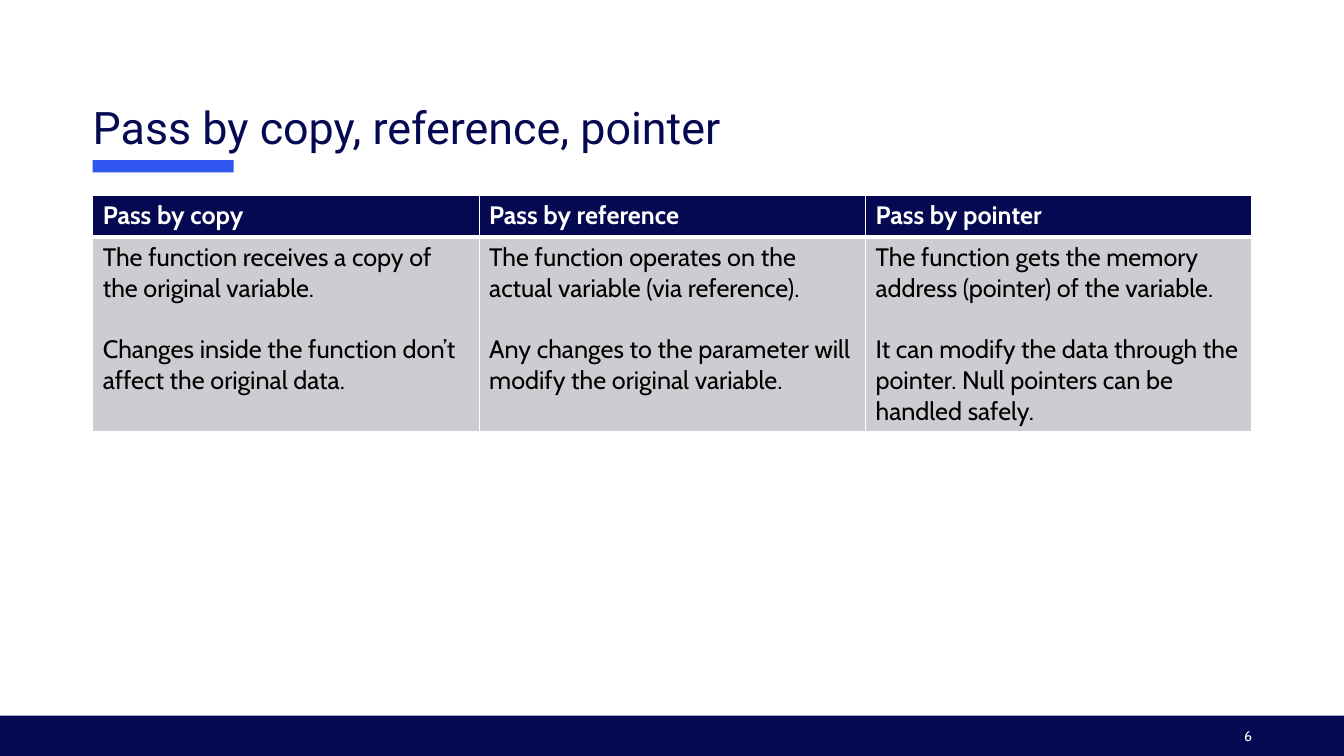
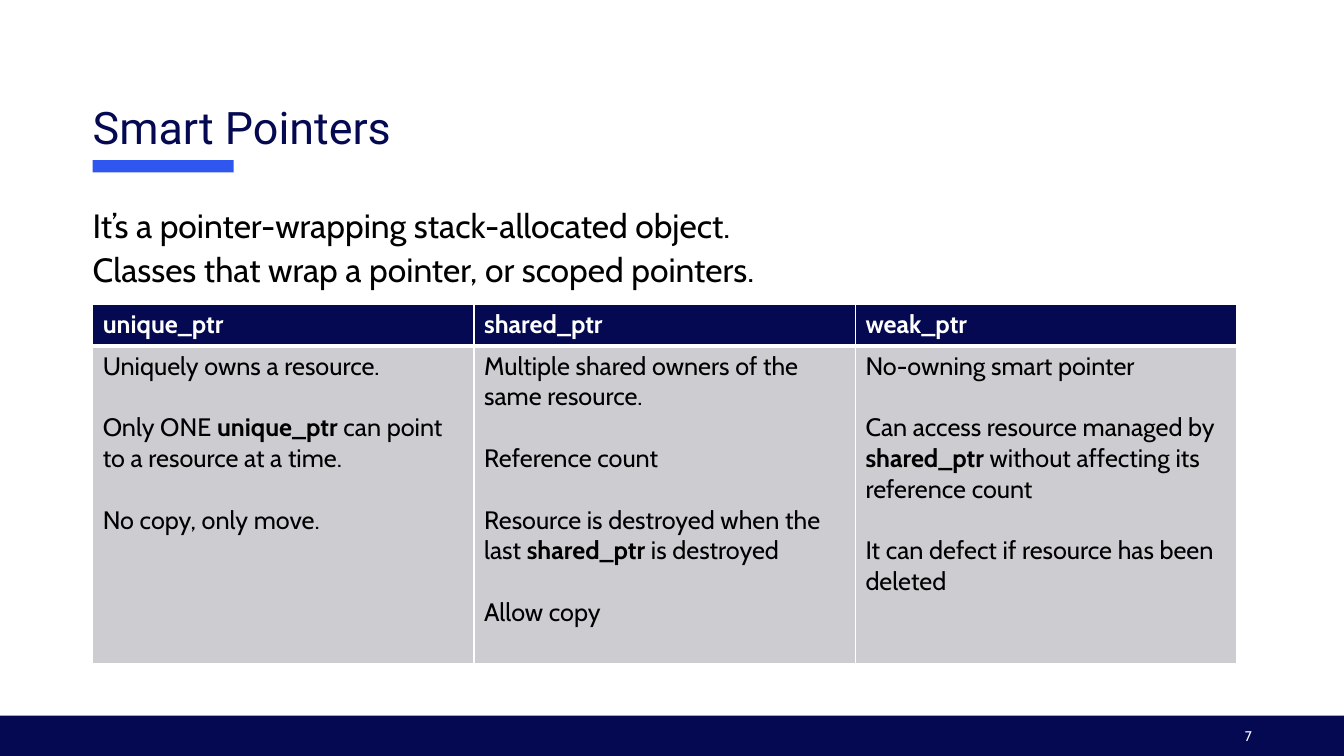
from dataclasses import dataclass

from lxml.etree import SubElement
from pptx import Presentation
from pptx.dml.color import RGBColor
from pptx.enum.shapes import MSO_SHAPE
from pptx.enum.text import MSO_ANCHOR, PP_ALIGN
from pptx.oxml.ns import qn
from pptx.util import Inches, Pt


@dataclass(frozen=True)
class Theme:
    """Colours, fonts and type sizes shared by all slides."""

    navy: str = "050952"
    blue: str = "2F56EF"
    grey: str = "CCCCD1"
    white: str = "FFFFFF"
    black: str = "000000"
    heading_font: str = "Roboto"
    body_font: str = "Cabin"
    title_size: int = 32
    lead_size: int = 24
    table_size: int = 18
    number_size: int = 10
    paragraph_gap: int = 22
    thin_border: int = 1
    thick_border: int = 3


@dataclass(frozen=True)
class Box:
    """A rectangle in inches, whose regions are given in percent of it."""

    left: float
    top: float
    width: float
    height: float

    def region(self, left, top, width, height):
        """Return the box at the given percentages of this one."""
        return Box(
            self.left + self.width * left / 100,
            self.top + self.height * top / 100,
            self.width * width / 100,
            self.height * height / 100,
        )

    def lengths(self):
        """Return left, top, width and height for python-pptx."""
        return [Inches(value) for value in (self.left, self.top, self.width, self.height)]


THEME = Theme()
PAGE = Box(0, 0, 13.33, 7.5)
HEADING = PAGE.region(6.9, 0, 86.25, 22.8)
FOOTER = PAGE.region(0, 94.67, 100, 5.33)
HEADER_ROW = 5.47

PASSING = [
    ("Pass by copy", [
        "The function receives a copy of the original variable.",
        "Changes inside the function don’t affect the original data.",
    ]),
    ("Pass by reference", [
        "The function operates on the actual variable (via reference).",
        "Any changes to the parameter will modify the original variable.",
    ]),
    ("Pass by pointer", [
        "The function gets the memory address (pointer) of the variable.",
        "It can modify the data through the pointer. Null pointers can be handled safely.",
    ]),
]
SMART_POINTERS = [
    ("unique_ptr", [
        "Uniquely owns a resource.",
        "Only ONE *unique_ptr* can point to a resource at a time.",
        "No copy, only move.",
    ]),
    ("shared_ptr", [
        "Multiple shared owners of the same resource.",
        "Reference count",
        "Resource is destroyed when the last *shared_ptr* is destroyed",
        "Allow copy",
    ]),
    ("weak_ptr", [
        "No-owning smart pointer",
        "Can access resource managed by *shared_ptr* without affecting its reference count",
        "It can defect if resource has been deleted",
    ]),
]
LEAD = [
    "It’s a pointer-wrapping stack-allocated object.",
    "Classes that wrap a pointer, or scoped pointers.",
]


def apply_format(target, values):
    """Set each attribute named in a dict of format values."""
    for name, value in values.items():
        setattr(target, name, value)


def write_text(frame, lines, font, size, color, bold=False, gap=0, **layout):
    """Write one paragraph per line; words between asterisks are bold."""
    for index, line in enumerate(lines):
        paragraph = frame.add_paragraph() if index else frame.paragraphs[0]
        apply_format(paragraph, {"space_before": Pt(gap if index else 0), **layout})
        for position, words in enumerate(line.split("*")):
            run = paragraph.add_run()
            run.text = words
            apply_format(run.font, {
                "name": font, "size": Pt(size), "bold": bold or position % 2 == 1,
            })
            run.font.color.rgb = RGBColor.from_string(color)


def add_text(slide, box, lines, font, size, color, frame_format, **layout):
    """Add a wrapping text box."""
    frame = slide.shapes.add_textbox(*box.lengths()).text_frame
    apply_format(frame, {"word_wrap": True, **frame_format})
    write_text(frame, lines, font, size, color, **layout)


def add_bar(slide, box, color):
    """Add a plain filled rectangle."""
    shape = slide.shapes.add_shape(MSO_SHAPE.RECTANGLE, *box.lengths())
    shape.shadow.inherit = False
    shape.fill.solid()
    shape.fill.fore_color.rgb = RGBColor.from_string(color)
    shape.line.fill.background()


def add_heading(slide, box, title):
    """Place the title above its accent bar."""
    add_text(slide, box.region(0, 0, 100, 92.4), [title],
             THEME.heading_font, THEME.title_size, THEME.navy,
             {"vertical_anchor": MSO_ANCHOR.BOTTOM, "margin_left": 0}, line_spacing=0.9)
    add_bar(slide, box.region(0, 93, 12.17, 7), THEME.blue)


def add_footer(slide, box, number):
    """Place the bottom band and the slide number."""
    add_bar(slide, box, THEME.navy)
    add_text(slide, box.region(89.1, 17.5, 4.05, 70), [str(number)],
             THEME.body_font, THEME.number_size, THEME.white,
             {"margin_right": 0}, alignment=PP_ALIGN.RIGHT)


def style_cell(cell, fill, top, bottom):
    """Give a cell white borders and a solid fill."""
    properties = cell._tc.get_or_add_tcPr()
    widths = {"lnL": THEME.thin_border, "lnR": THEME.thin_border, "lnT": top, "lnB": bottom}
    for side, width in widths.items():
        border = SubElement(properties, qn(f"a:{side}"), w=str(Pt(width)))
        solid = SubElement(border, qn("a:solidFill"))
        SubElement(solid, qn("a:srgbClr"), val=THEME.white)
    cell.fill.solid()
    cell.fill.fore_color.rgb = RGBColor.from_string(fill)


def add_comparison(slide, box, columns):
    """Place a table with a header row and one tall row of notes."""
    table = slide.shapes.add_table(2, len(columns), *box.lengths()).table
    table.horz_banding = False
    header_height = PAGE.height * HEADER_ROW / 100
    table.rows[0].height = Inches(header_height)
    table.rows[1].height = Inches(box.height - header_height)
    for index, (heading, notes) in enumerate(columns):
        table.columns[index].width = Inches(box.width / len(columns))
        header, body = table.cell(0, index), table.cell(1, index)
        style_cell(header, THEME.navy, THEME.thin_border, THEME.thick_border)
        style_cell(body, THEME.grey, THEME.thick_border, THEME.thin_border)
        write_text(header.text_frame, [heading], THEME.body_font, THEME.table_size,
                   THEME.white, bold=True)
        write_text(body.text_frame, notes, THEME.body_font, THEME.table_size,
                   THEME.black, gap=THEME.paragraph_gap)


def add_comparison_slide(presentation, number, title, columns, table_box, lead=()):
    """Build a slide with a heading, optional lead text and a table."""
    slide = presentation.slides.add_slide(presentation.slide_layouts[6])
    add_footer(slide, FOOTER, number)
    add_heading(slide, HEADING, title)
    if lead:
        add_text(slide, PAGE.region(6.9, 25.87, 86.25, 14.4), lead,
                 THEME.body_font, THEME.lead_size, THEME.black,
                 {"margin_left": 0}, line_spacing=1.1)
    add_comparison(slide, table_box, columns)


def main():
    """Build and save the presentation."""
    presentation = Presentation()
    apply_format(presentation, {
        "slide_width": Inches(PAGE.width), "slide_height": Inches(PAGE.height),
    })
    add_comparison_slide(presentation, 6, "Pass by copy, reference, pointer",
                         PASSING, PAGE.region(6.9, 25.87, 86.25, 31.2))
    add_comparison_slide(presentation, 7, "Smart Pointers",
                         SMART_POINTERS, PAGE.region(6.9, 40.27, 85.13, 47.47), LEAD)
    presentation.save("out.pptx")


if __name__ == "__main__":
    main()
